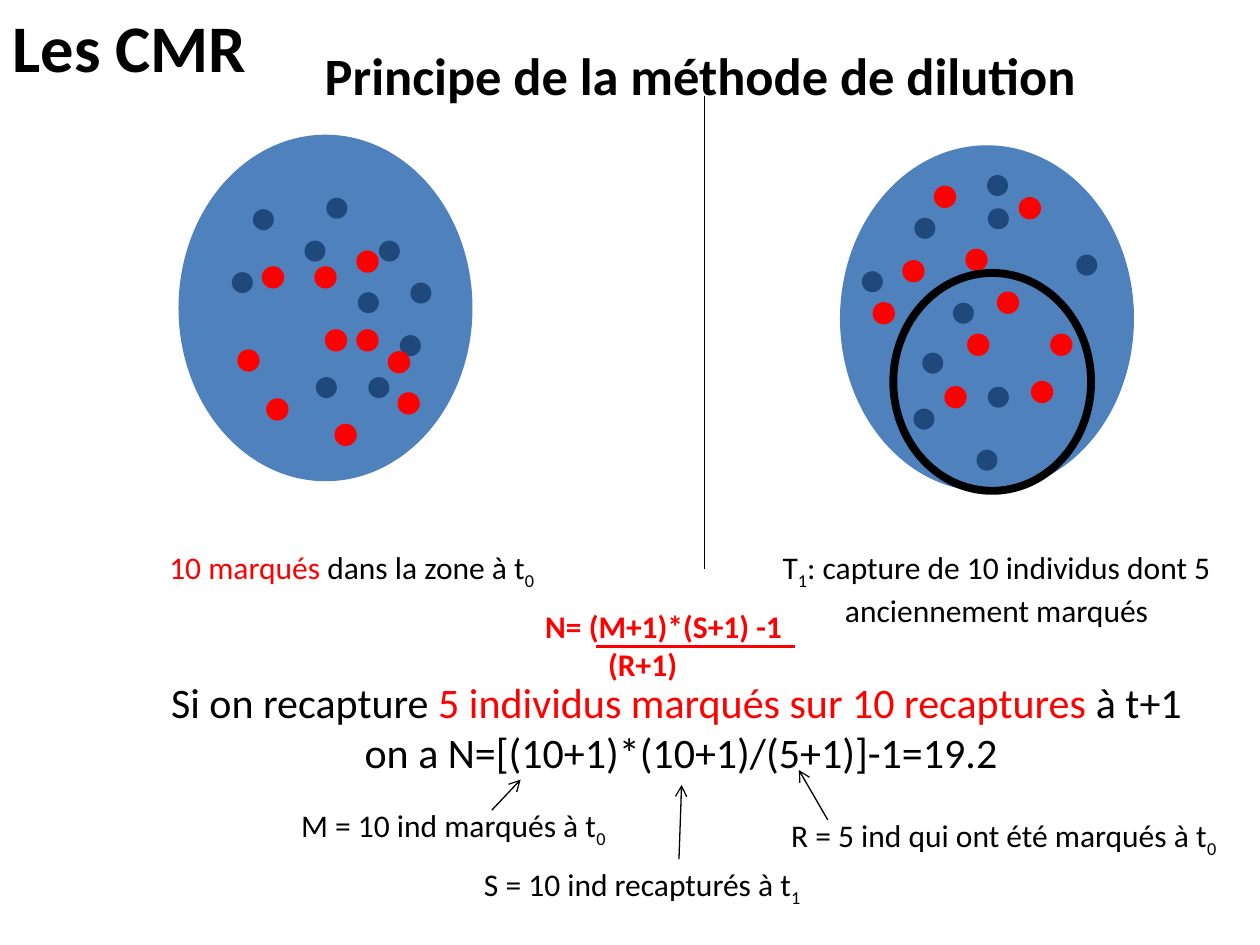
from dataclasses import dataclass

import pptx
import pptx.dml.color
import pptx.enum.shapes
import pptx.enum.text
import pptx.oxml.ns
import pptx.util
from lxml import etree

Pt = pptx.util.Pt
ALIGN = pptx.enum.text.PP_ALIGN
COLOURS = {
    "text": "000000",
    "zone": "4F81BD",
    "unmarked": "1F497D",
    "marked": "FF0000",
}
DOT_SIZE = 12


@dataclass
class Span:
    text: str
    colour: str | None = None
    subscript: bool = False


@dataclass
class Label:
    box: tuple[float, float, float, float]
    lines: list[list[Span]]
    size: float = 18
    colour: str = "text"
    bold: bool = False
    align: ALIGN = ALIGN.LEFT
    wrap: bool = False


@dataclass
class Population:
    zone: tuple[float, float, float, float]
    unmarked: list[tuple[float, float]]
    marked: list[tuple[float, float]]


@dataclass
class Line:
    start: tuple[float, float]
    end: tuple[float, float]
    colour: str = "text"
    weight: float = 0.75
    arrow: bool = False


def rgb(name: str) -> pptx.dml.color.RGBColor:
    return pptx.dml.color.RGBColor.from_string(COLOURS[name])


def write_label(shape, label: Label) -> None:
    frame = shape.text_frame
    frame.word_wrap = label.wrap
    frame.vertical_anchor = pptx.enum.text.MSO_ANCHOR.TOP
    frame.auto_size = pptx.enum.text.MSO_AUTO_SIZE.SHAPE_TO_FIT_TEXT
    for index, spans in enumerate(label.lines):
        paragraph = frame.paragraphs[0] if index == 0 else frame.add_paragraph()
        paragraph.alignment = label.align
        paragraph.font.name = "Calibri"
        paragraph.font.size = Pt(label.size)
        paragraph.font.bold = label.bold
        paragraph.font.color.rgb = rgb(label.colour)
        for span in spans:
            run = paragraph.add_run()
            run.text = span.text
            if span.colour:
                run.font.color.rgb = rgb(span.colour)
            if span.subscript:
                run._r.get_or_add_rPr().set("baseline", "-25000")


def draw_label(shapes, label: Label) -> None:
    write_label(shapes.add_textbox(*map(Pt, label.box)), label)


def draw_ellipse(shapes, box: tuple[float, float, float, float], fill: str | None = None,
                 outline: str | None = None, weight: float = 0.75) -> None:
    ellipse = shapes.add_shape(pptx.enum.shapes.MSO_SHAPE.OVAL, *map(Pt, box))
    ellipse.shadow.inherit = False
    if fill:
        ellipse.fill.solid()
        ellipse.fill.fore_color.rgb = rgb(fill)
    else:
        ellipse.fill.background()
    if outline:
        ellipse.line.color.rgb = rgb(outline)
        ellipse.line.width = Pt(weight)
    else:
        ellipse.line.fill.background()


def draw_population(shapes, population: Population) -> None:
    draw_ellipse(shapes, population.zone, "zone")
    for left, top in population.unmarked:
        draw_ellipse(shapes, (left, top, DOT_SIZE, DOT_SIZE), "unmarked")
    for left, top in population.marked:
        draw_ellipse(shapes, (left, top, DOT_SIZE, DOT_SIZE), "marked", "marked")


def draw_line(shapes, line: Line) -> None:
    connector = shapes.add_connector(
        pptx.enum.shapes.MSO_CONNECTOR.STRAIGHT, *map(Pt, line.start + line.end))
    connector.line.color.rgb = rgb(line.colour)
    connector.line.width = Pt(line.weight)
    if line.arrow:
        etree.SubElement(connector.line._get_or_add_ln(),
                         pptx.oxml.ns.qn("a:tailEnd"), type="arrow")
    etree.SubElement(connector._element.spPr, pptx.oxml.ns.qn("a:effectLst"))


TITLE = Label((0, 0, 175.5, 53.5), [[Span("Les CMR")]], 38, bold=True, wrap=True)
DIVIDER = Line((402.5, 55), (402.5, 325))
POPULATIONS = [
    Population(
        (102, 77, 168, 198),
        [(132.5, 155.5), (174, 137.5), (180.5, 215.5), (210.5, 215.5), (216.5, 137.5),
         (204.5, 167), (186.5, 113), (234.5, 161.5), (228.5, 191.5), (144.5, 119.5)],
        [(222, 201), (204, 143.5), (136, 200), (186, 188.5), (227.5, 224.5),
         (191.5, 242.5), (204, 188.5), (150, 152.5), (180, 152.5), (152.5, 228)],
    ),
    Population(
        (480, 83, 168, 198),
        [(558, 257), (527, 201.5), (522, 233.5), (564.5, 221), (544.5, 173),
         (615, 145.5), (564.5, 119), (492.5, 155), (564, 100), (522.5, 124.5)],
        [(552, 142.5), (600.5, 191), (540, 221), (582.5, 113), (553, 191),
         (570, 167), (589.5, 218), (534, 106.5), (516, 149), (499, 173)],
    ),
]
RECAPTURE_ZONE = (510.5, 156, 113, 124.5)
LABELS = [
    Label((73.5, 309.5, 255, 29),
          [[Span("10 marqués ", "marked"), Span("dans la zone à t"), Span("0", subscript=True)]],
          align=ALIGN.CENTER, wrap=True),
    Label((419, 309.5, 301, 51),
          [[Span("T"), Span("1", subscript=True),
            Span(": capture de 10 individus dont 5 anciennement marqués")]],
          align=ALIGN.CENTER, wrap=True),
    Label((178.5, 21, 503.5, 43.5), [[Span("Principe de la méthode de dilution")]], 30, bold=True),
    Label((88, 383, 602.5, 65.5),
          [[Span("Si on recapture "), Span("5 individus marqués sur 10 recaptures ", "marked"),
            Span("à t+1 ")],
           [Span("on a N=[(10+1)*(10+1)/(5+1)]-1=19.2")]],
          24, align=ALIGN.CENTER),
    Label((165, 457, 191.5, 29), [[Span("M = 10 ind marqués à t"), Span("0", subscript=True)]]),
    Label((269.5, 491, 199.5, 29), [[Span("S = 10 ind recapturés à t"), Span("1", subscript=True)]]),
    Label((445, 463, 259, 29),
          [[Span("R = 5 ind qui ont été marqués à t"), Span("0", subscript=True)]]),
]
ARROWS = [
    Line((281, 463), (297.5, 445.5), arrow=True),
    Line((388, 491), (389.5, 448.5), arrow=True),
    Line((473, 468.5), (456.5, 440), arrow=True),
]
FORMULA = Label((304.5, 343.5, 180, 51), [[Span("N= (M+1)*(S+1) -1")], [Span("\t(R+1)")]],
                colour="marked", bold=True, wrap=True)
FRACTION_BAR = Line((340.5, 369.5), (454.5, 369.5), "marked", 1.5)


def main() -> None:
    presentation = pptx.Presentation()
    presentation.slide_width, presentation.slide_height = Pt(720), Pt(540)
    slide = presentation.slides.add_slide(presentation.slide_layouts[5])
    shapes = slide.shapes
    title = shapes.title
    title.left, title.top, title.width, title.height = map(Pt, TITLE.box)
    write_label(title, TITLE)
    draw_line(shapes, DIVIDER)
    for population in POPULATIONS:
        draw_population(shapes, population)
    draw_ellipse(shapes, RECAPTURE_ZONE, outline="text", weight=4.5)
    for label in LABELS:
        draw_label(shapes, label)
    for arrow in ARROWS:
        draw_line(shapes, arrow)
    formula = shapes.add_group_shape()
    draw_label(formula.shapes, FORMULA)
    draw_line(formula.shapes, FRACTION_BAR)
    presentation.save("out.pptx")


if __name__ == "__main__":
    main()
